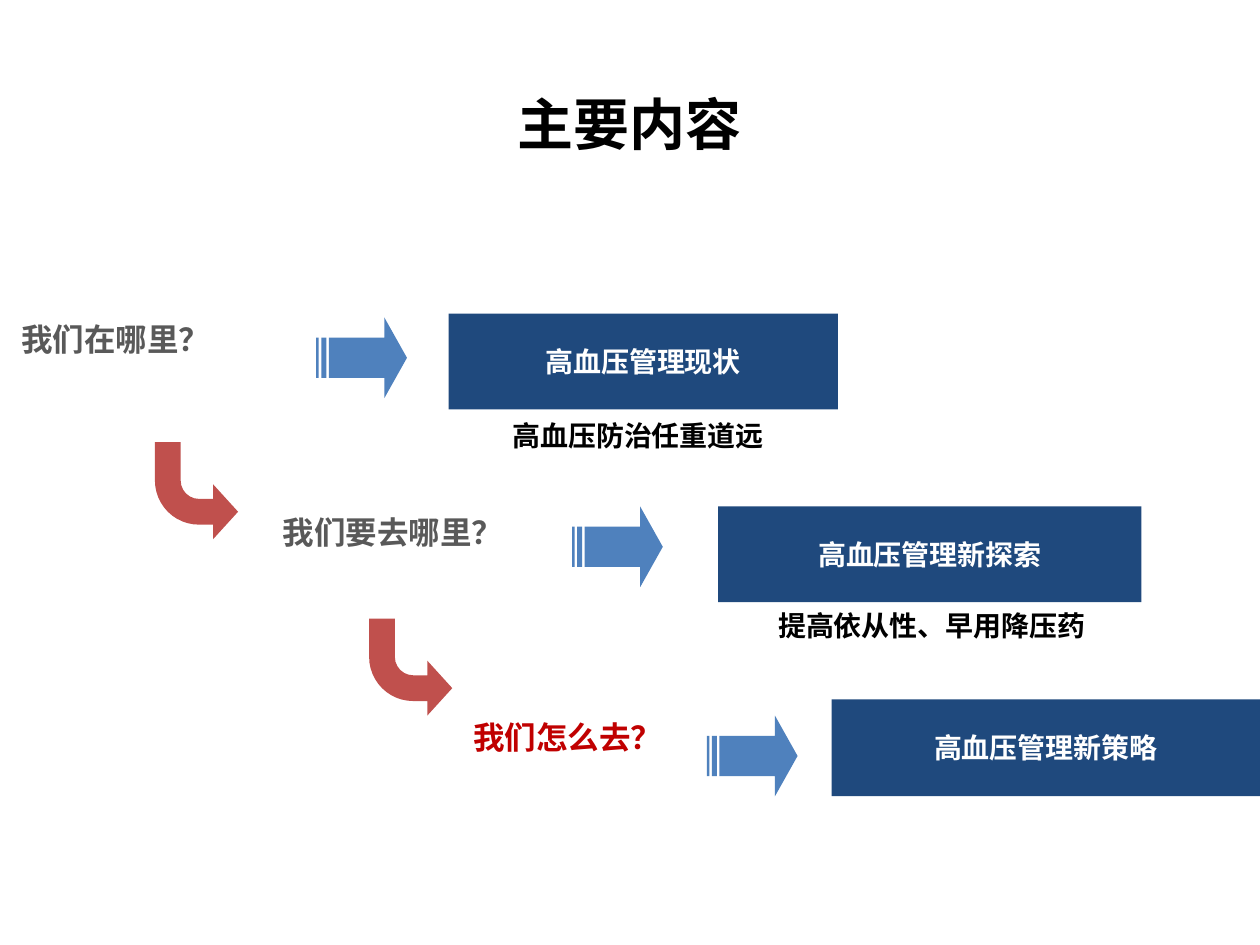
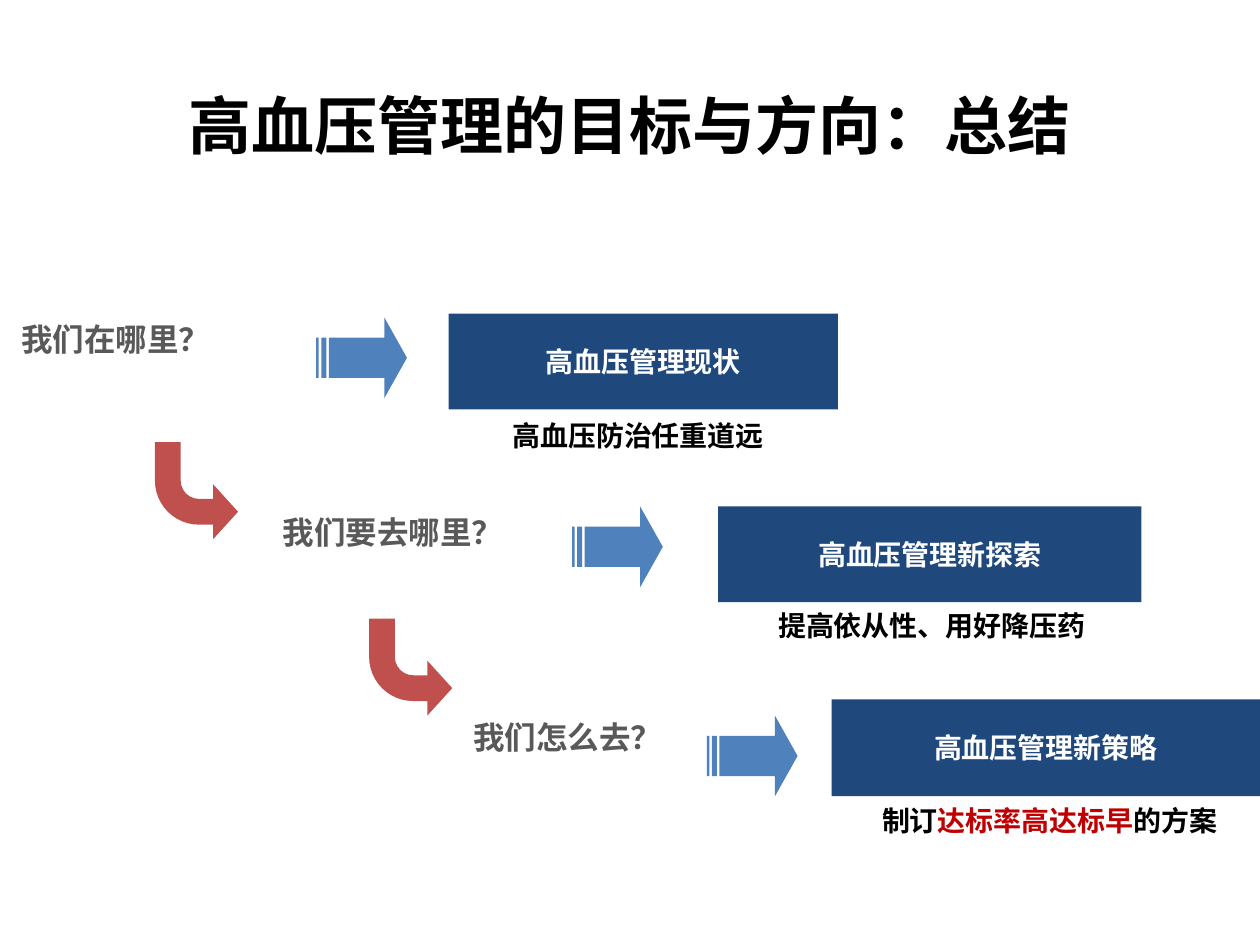
"""Build the opening outline and closing summary slides on hypertension management."""
from dataclasses import dataclass

from lxml import etree
from pptx import Presentation
from pptx.dml.color import RGBColor
from pptx.enum.shapes import MSO_SHAPE
from pptx.enum.text import MSO_ANCHOR, PP_ALIGN
from pptx.oxml.ns import qn
from pptx.shapes.autoshape import Shape
from pptx.slide import Slide
from pptx.util import Inches, Pt

RECTANGLE = MSO_SHAPE.RECTANGLE
STRIPED_ARROW = MSO_SHAPE.STRIPED_RIGHT_ARROW
BENT_ARROW = MSO_SHAPE.BENT_ARROW
LEFT, CENTER, RIGHT = PP_ALIGN.LEFT, PP_ALIGN.CENTER, PP_ALIGN.RIGHT
TOP, MIDDLE = MSO_ANCHOR.TOP, MSO_ANCHOR.MIDDLE

BLACK = RGBColor(0x00, 0x00, 0x00)
WHITE = RGBColor(0xFF, 0xFF, 0xFF)
GREY = RGBColor(0x59, 0x59, 0x59)
RED = RGBColor(0xC0, 0x00, 0x00)
NAVY = RGBColor(0x1F, 0x49, 0x7D)
BLUE = RGBColor(0x4F, 0x81, 0xBD)
BRICK = RGBColor(0xC0, 0x50, 0x4D)

CJK_FONT = "Noto Sans CJK SC"
TITLE_FONT = "Calibri"
CAPTION_FONT = "Arial"


@dataclass(frozen=True)
class Area:
    """A place on the slide, in inches."""
    left: float
    top: float
    width: float
    height: float

    def lengths(self) -> tuple[Inches, ...]:
        """Return left, top, width and height as lengths."""
        return tuple(map(Inches, (self.left, self.top, self.width, self.height)))


@dataclass(frozen=True)
class Span:
    """A piece of caption in one colour."""
    text: str
    color: RGBColor = BLACK


@dataclass(frozen=True)
class Step:
    """A question, the arrow beside it, and the topic that answers it."""
    question: str
    question_area: Area
    question_align: PP_ALIGN
    arrow_area: Area
    topic: str
    topic_area: Area
    caption_area: Area


@dataclass(frozen=True)
class Outline:
    """What one slide says in its own way."""
    title: str
    title_size: int
    captions: tuple[tuple[Span, ...], ...]
    current: int | None = None


TITLE_AREA = Area(0.5, 0.3, 9, 1.25)
TURN_AREAS = (Area(1.23, 3.51, 0.66, 0.77), Area(2.93, 4.91, 0.66, 0.77))
STEPS = (
    Step("我们在哪里？", Area(0.07, 2.49, 1.7, 0.4), LEFT, Area(2.51, 2.52, 0.72, 0.64),
         "高血压管理现状", Area(3.56, 2.49, 3.09, 0.76), Area(3.73, 3.27, 2.67, 0.37)),
    Step("我们要去哪里？", Area(1.77, 4.02, 2.32, 0.4), RIGHT, Area(4.54, 4.02, 0.72, 0.64),
         "高血压管理新探索", Area(5.7, 4.02, 3.36, 0.76), Area(6.06, 4.78, 2.67, 0.37)),
    Step("我们怎么去？", Area(3.66, 5.65, 1.7, 0.4), LEFT, Area(5.61, 5.68, 0.72, 0.64),
         "高血压管理新策略", Area(6.6, 5.55, 3.4, 0.77), Area(6.82, 6.33, 3.02, 0.37)),
)
STATUS_CAPTION = (Span("高血压防治任重道远"),)
OUTLINES = (
    Outline("主要内容", 32, (STATUS_CAPTION, (Span("提高依从性、早用降压药"),)), current=2),
    Outline("高血压管理的目标与方向：总结", 36,
            (STATUS_CAPTION, (Span("提高依从性、用好降压药"),),
             (Span("制订"), Span("达标率高达标早", RED), Span("的方案")))),
)


def write(shape: Shape, *spans: Span, size: int, font: str = CJK_FONT,
          align: PP_ALIGN = CENTER, anchor: MSO_ANCHOR = TOP,
          wrap: bool = True, line_spacing: float = 1.0) -> None:
    """Write one bold paragraph of coloured spans into a shape."""
    frame = shape.text_frame
    frame.word_wrap = wrap
    frame.vertical_anchor = anchor
    paragraph = frame.paragraphs[0]
    paragraph.alignment = align
    paragraph.line_spacing = line_spacing
    for span in spans:
        run = paragraph.add_run()
        run.text = span.text
        run.font.name = font
        run.font.size = Pt(size)
        run.font.bold = True
        run.font.color.rgb = span.color
        east_asian = etree.SubElement(run.font._element, qn("a:ea"))
        east_asian.set("typeface", CJK_FONT)


def add_text(slide: Slide, area: Area) -> Shape:
    """Add an empty text box."""
    return slide.shapes.add_textbox(*area.lengths())


def add_solid(slide: Slide, kind: MSO_SHAPE, area: Area, color: RGBColor,
              adjustments: tuple[float, ...] = ()) -> Shape:
    """Add a flat shape without outline or shadow."""
    solid = slide.shapes.add_shape(kind, *area.lengths())
    solid.shadow.inherit = False
    solid.fill.solid()
    solid.fill.fore_color.rgb = color
    solid.line.fill.background()
    for index, value in enumerate(adjustments):
        solid.adjustments[index] = value
    return solid


def draw_turn(slide: Slide, area: Area) -> None:
    """Draw an arrow that runs down and then turns right."""
    turn = add_solid(slide, BENT_ARROW, area, BRICK, (0.31, 0.33, 0.3, 0.53))
    turn.element.spPr.find(qn("a:xfrm")).set("flipV", "1")


def draw_step(slide: Slide, step: Step, question_color: RGBColor) -> None:
    """Draw a question, its striped arrow and its topic."""
    write(add_text(slide, step.question_area), Span(step.question, question_color),
          size=18, align=step.question_align)
    add_solid(slide, STRIPED_ARROW, step.arrow_area, BLUE, (0.5, 0.28))
    topic = add_solid(slide, RECTANGLE, step.topic_area, NAVY)
    write(topic, Span(step.topic, WHITE), size=16, anchor=MIDDLE, wrap=False)


def draw_outline(slide: Slide, outline: Outline) -> None:
    """Draw one whole slide."""
    write(add_text(slide, TITLE_AREA), Span(outline.title), size=outline.title_size,
          font=TITLE_FONT, anchor=MIDDLE, line_spacing=1.2)
    for area in TURN_AREAS:
        draw_turn(slide, area)
    for index, step in enumerate(STEPS):
        draw_step(slide, step, RED if index == outline.current else GREY)
    for step, caption in zip(STEPS, outline.captions):
        write(add_text(slide, step.caption_area), *caption, size=16, font=CAPTION_FONT)


def main() -> None:
    """Build and save the presentation."""
    presentation = Presentation()
    presentation.slide_width = Inches(10)
    presentation.slide_height = Inches(7.5)
    blank = presentation.slide_layouts[6]
    for outline in OUTLINES:
        draw_outline(presentation.slides.add_slide(blank), outline)
    presentation.save("out.pptx")


if __name__ == "__main__":
    main()
